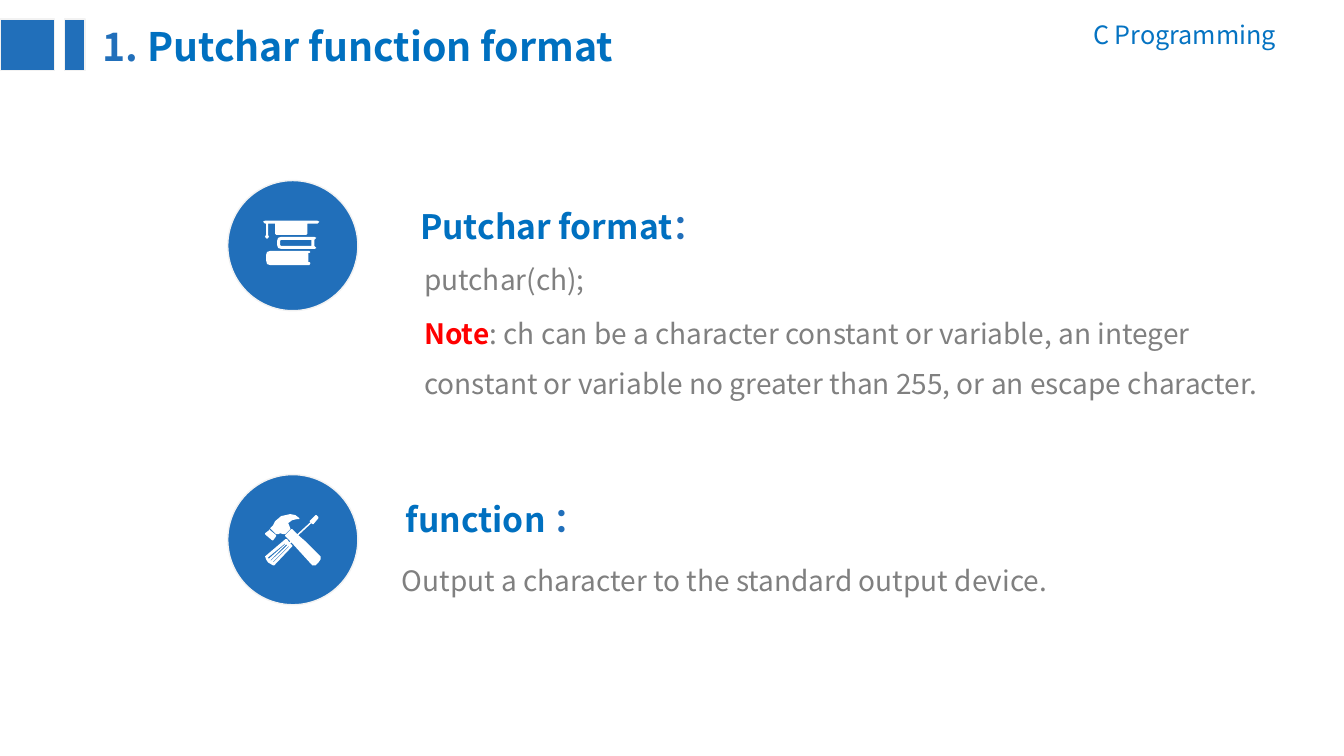
from lxml import etree
from pptx import Presentation
from pptx.dml.color import RGBColor
from pptx.enum.shapes import MSO_SHAPE
from pptx.enum.text import MSO_AUTO_SIZE, PP_ALIGN
from pptx.oxml.ns import qn
from pptx.util import Cm, Pt

RECTANGLE, OVAL = MSO_SHAPE.RECTANGLE, MSO_SHAPE.OVAL
LEFT, RIGHT = PP_ALIGN.LEFT, PP_ALIGN.RIGHT
GROW = MSO_AUTO_SIZE.SHAPE_TO_FIT_TEXT

FONT = "Noto Sans CJK SC"
BLUE = RGBColor(0x21, 0x6F, 0xBA)
HEADING_BLUE = RGBColor(0x00, 0x70, 0xC0)
COURSE_BLUE = RGBColor(0x05, 0x73, 0xC2)
GRAY = RGBColor(0x80, 0x80, 0x80)
RED = RGBColor(0xFF, 0x00, 0x00)
WHITE = RGBColor(0xFF, 0xFF, 0xFF)
PALE = RGBColor(0xF2, 0xF2, 0xF2)

deck = Presentation()
deck.slide_width, deck.slide_height = Cm(33.87), Cm(19.05)
page = deck.slides.add_slide(deck.slide_layouts[6])


def add_text(place, spans, size, spacing=1.0, align=LEFT):
    """Add a text box; each span is (text, colour, bold)."""
    box = page.shapes.add_textbox(*(Cm(length) for length in place))
    frame = box.text_frame
    frame.word_wrap = True
    frame.auto_size = GROW
    para = frame.paragraphs[0]
    para.line_spacing, para.alignment = spacing, align
    for text, colour, bold in spans:
        span = para.add_run()
        span.text = text
        for name, value in {"name": FONT, "size": Pt(size), "bold": bold}.items():
            setattr(span.font, name, value)
        span.font.color.rgb = colour
        # East Asian font for the full-width colon
        etree.SubElement(span._r.get_or_add_rPr(), qn("a:ea"), typeface=FONT)


def add_blue_shape(kind, left, top, width, height):
    shape = page.shapes.add_shape(kind, Cm(left), Cm(top), Cm(width), Cm(height))
    shape.shadow.inherit = False
    shape.fill.solid()
    shape.fill.fore_color.rgb = BLUE
    shape.line.color.rgb = PALE
    shape.line.width = Pt(1)


# Header: course name, title and two blocks
add_text((24.79, 0.36, 7.62, 1.02), [("C Programming", COURSE_BLUE, False)], 18, align=RIGHT)
add_text((2.34, 0.43, 14.15, 1.45),
         [("1. ", BLUE, True), ("Putchar function format", HEADING_BLUE, True)], 28)
for left, width in ((0, 1.37), (1.63, 0.51)):
    add_blue_shape(RECTANGLE, left, 0.48, width, 1.3)

# Icon outlines, in hundredths of an inch on the slide
BOOKS = [
    # lower book
    [(308, 261), (307, 263), (268, 263), (265, 262), (264, 258), (264, 253), (265, 250),
     (268, 249), (307, 249), (308, 250), (307, 251), (306, 251), (306, 260), (307, 260)],
    # upper book and its pages
    [(314, 246), (312, 247), (279, 247), (276, 246), (275, 243), (275, 239), (276, 236),
     (279, 235), (312, 235), (314, 236), (312, 238), (312, 244)],
    [(279, 244), (309, 244), (309, 238), (279, 238), (278, 239), (278, 243)],
    # graduation cap
    [(315, 219), (263, 219), (261, 220), (263, 222), (264, 222), (264, 233), (263, 235),
     (265, 237), (267, 235), (266, 233), (266, 222), (273, 222), (273, 232), (274, 233),
     (304, 233), (305, 232), (305, 222), (315, 222), (317, 220)],
]
TOOLS = [
    # grooves of the screwdriver grip
    [(286, 542), (271, 557), (271, 558), (287, 542)],
    [(284, 540), (268, 556), (269, 556), (285, 541)],
    [(283, 539), (266, 553), (266, 554), (267, 554), (283, 540)],
    # hammer face
    [(267, 525), (268, 526), (274, 531), (274, 532), (271, 536), (270, 536), (264, 531),
     (263, 530), (263, 529), (267, 526)],
    # screwdriver and hammer handle
    [(313, 511), (314, 511), (316, 513), (316, 514), (311, 520), (310, 520), (309, 519),
     (296, 531), (303, 537), (318, 552), (318, 555), (316, 558), (313, 561), (310, 561),
     (289, 538), (288, 539), (290, 541), (290, 542), (272, 561), (271, 561), (266, 558),
     (264, 555), (263, 552), (283, 535), (285, 535), (287, 538), (288, 537), (283, 532),
     (283, 531), (289, 525), (290, 525), (295, 530), (308, 518), (307, 517), (308, 516)],
    # hammer head
    [(288, 510), (293, 511), (297, 514), (297, 515), (295, 515), (290, 516), (286, 519),
     (288, 524), (288, 525), (283, 530), (281, 530), (278, 529), (276, 530), (274, 530),
     (269, 525), (268, 524), (271, 521), (273, 517), (279, 512)],
]
for circle_top, outlines in ((4.55, BOOKS), (11.96, TOOLS)):
    add_blue_shape(OVAL, 5.74, circle_top, 3.28, 3.28)
    builder = page.shapes.build_freeform(*outlines[0][0], scale=Cm(2.54) / 100)
    for index, outline in enumerate(outlines):
        if index:
            builder.move_to(*outline[0])
        builder.add_line_segments(outline[1:], close=True)
    icon = builder.convert_to_shape()
    icon.shadow.inherit = False
    icon.fill.solid()
    icon.fill.fore_color.rgb = WHITE
    icon.line.fill.background()

# Section headings
for place, heading in (((10.34, 4.85, 10.21, 1.47), "Putchar format"),
                       ((9.98, 12.24, 13.79, 1.47), "function ")):
    add_text(place, [(heading, HEADING_BLUE, True), ("：", BLUE, True)], 24, 1.2)

# Section details
NOTE = (": ch can be a character constant or variable, an integer constant or variable "
        "no greater than 255, or an escape character.")
for place, spans in (
    ((10.44, 6.07, 16.48, 1.4), [("putchar(ch);", GRAY, False)]),
    ((10.44, 7.42, 21.54, 4.09), [("Note", RED, True), (NOTE, GRAY, False)]),
    ((9.88, 13.64, 17.88, 1.52),
     [("Output a character to the standard output device.", GRAY, False)]),
):
    add_text(place, spans, 20, 1.5)

deck.save("out.pptx")
